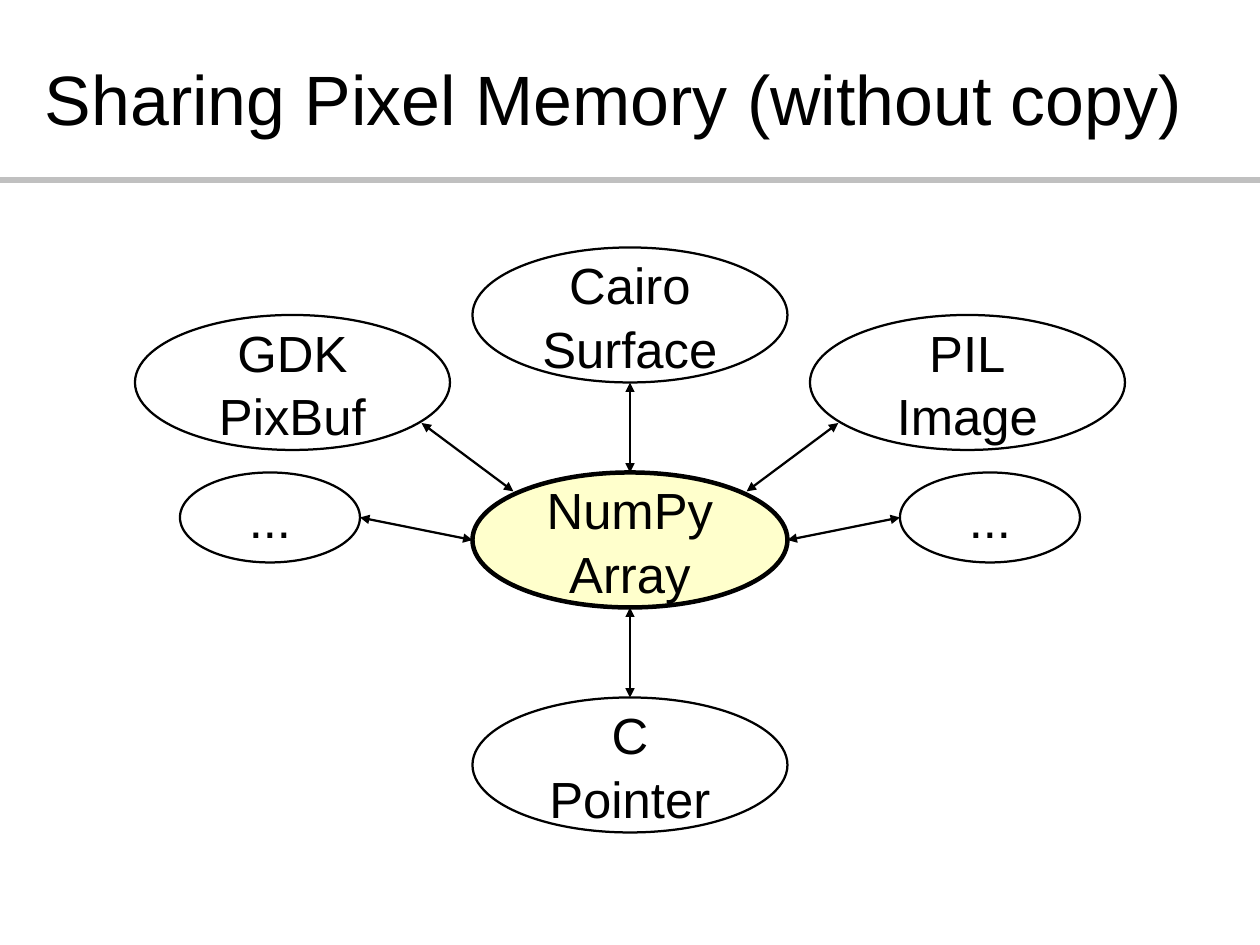
from pptx import Presentation
from pptx.dml.color import RGBColor
from pptx.enum.shapes import MSO_CONNECTOR, MSO_SHAPE
from pptx.enum.text import MSO_ANCHOR, PP_ALIGN
from pptx.oxml.ns import qn
from pptx.util import Cm, Pt
from lxml import etree

STRAIGHT = MSO_CONNECTOR.STRAIGHT
ELLIPSE = MSO_SHAPE.OVAL
MIDDLE = MSO_ANCHOR.MIDDLE
LEFT, CENTER = PP_ALIGN.LEFT, PP_ALIGN.CENTER

BLACK = RGBColor(0x00, 0x00, 0x00)
WHITE = RGBColor(0xFF, 0xFF, 0xFF)
GRAY = RGBColor(0xC0, 0xC0, 0xC0)
YELLOW = RGBColor(0xFF, 0xFF, 0xCC)

SLIDE_WIDTH, SLIDE_HEIGHT = 28, 21
LARGE, SMALL = (7, 3), (4, 2)
THIN, THICK = 1.42, 2.83

# label, centre from the hub's centre (cm), size, anchor on the node, anchor on
# the hub; anchors are fractions of the half width and half height
NODES = [
    ("GDK\nPixBuf", (-7.5, -3.5), LARGE, (0.82, 0.6), (-0.74, -0.72)),
    ("Cairo\nSurface", (0, -5), LARGE, (0, 1), (0, -1)),
    ("PIL\nImage", (7.5, -3.5), LARGE, (-0.82, 0.6), (0.74, -0.72)),
    ("C\nPointer", (0, 5), LARGE, (0, -1), (0, 1)),
    ("...", (-8, -0.5), SMALL, (1, 0), (-1, 0)),
    ("...", (8, -0.5), SMALL, (-1, 0), (1, 0)),
]


def write_text(shape, text, size, alignment, margins, line_spacing):
    frame = shape.text_frame
    frame.text = text
    margin_x, margin_y = margins
    frame_format = {
        "word_wrap": True,
        "vertical_anchor": MIDDLE,
        "margin_left": Cm(margin_x),
        "margin_right": Cm(margin_x),
        "margin_top": Cm(margin_y),
        "margin_bottom": Cm(margin_y),
    }
    for name, value in frame_format.items():
        setattr(frame, name, value)
    for paragraph in frame.paragraphs:
        paragraph.alignment = alignment
        paragraph.line_spacing = line_spacing
        for name, value in {"name": "Arial", "size": Pt(size)}.items():
            setattr(paragraph.font, name, value)
        paragraph.font.color.rgb = BLACK


def add_line(slide, start, end, color, width, arrows=False):
    points = [Cm(value) for value in (*start, *end)]
    connector = slide.shapes.add_connector(STRAIGHT, *points)
    connector.line.color.rgb = color
    connector.line.width = Pt(width)
    if arrows:
        line_properties = connector.line._get_or_add_ln()
        for tag in ("a:headEnd", "a:tailEnd"):
            etree.SubElement(line_properties, qn(tag), type="triangle")
    etree.SubElement(connector._element.spPr, qn("a:effectLst"))


def add_node(slide, label, center, size, fill=WHITE, line_width=THIN):
    corner = [middle - length / 2 for middle, length in zip(center, size)]
    box = [Cm(value) for value in (*corner, *size)]
    shape = slide.shapes.add_shape(ELLIPSE, *box)
    shape.shadow.inherit = False
    shape.fill.solid()
    shape.fill.fore_color.rgb = fill
    shape.line.color.rgb = BLACK
    shape.line.width = Pt(line_width)
    write_text(shape, label, 32, CENTER, (0.25, 0.13), 1.04)


def anchor_point(center, size, anchor):
    return [middle + length / 2 * fraction
            for middle, length, fraction in zip(center, size, anchor)]


def add_header(slide, left, top, width, height):
    """Place the title and the full-width rule in the given box (cm)."""
    title = slide.shapes.add_textbox(
        Cm(left + 1), Cm(top + 0.84), Cm(width - 2), Cm(2.67))
    write_text(title, "Sharing Pixel Memory (without copy)", 44, LEFT, (0, 0), 1)
    bottom = top + height
    add_line(slide, (left, bottom), (left + width, bottom), GRAY, 4.25)


def add_hub_diagram(slide, left, top, width, height):
    """Place the hub in the middle of the box (cm) and its nodes around it."""
    hub = (left + width / 2, top + height / 2)
    add_node(slide, "NumPy\nArray", hub, LARGE, YELLOW, THICK)
    for label, offset, size, node_anchor, hub_anchor in NODES:
        center = [middle + shift for middle, shift in zip(hub, offset)]
        add_node(slide, label, center, size)
        add_line(slide, anchor_point(center, size, node_anchor),
                 anchor_point(hub, LARGE, hub_anchor), BLACK, THIN, arrows=True)


def main():
    presentation = Presentation()
    presentation.slide_width = Cm(SLIDE_WIDTH)
    presentation.slide_height = Cm(SLIDE_HEIGHT)
    slide = presentation.slides.add_slide(presentation.slide_layouts[6])
    add_header(slide, 0, 0, SLIDE_WIDTH, 4)
    add_hub_diagram(slide, 3, 5.5, 22, 13)
    presentation.save("out.pptx")


if __name__ == "__main__":
    main()
